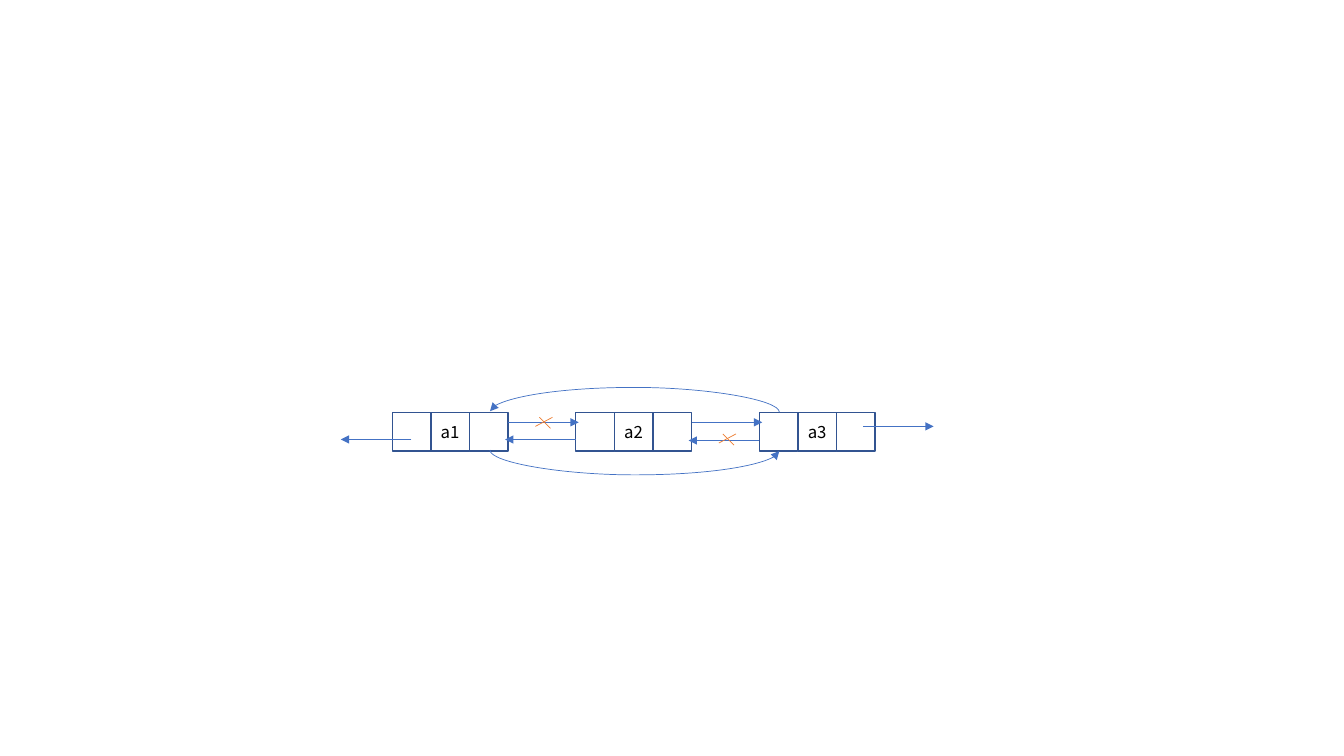
from lxml import etree
from pptx import Presentation
from pptx.dml.color import RGBColor
from pptx.enum.shapes import MSO_CONNECTOR as Connector, MSO_SHAPE as Shape
from pptx.enum.text import MSO_ANCHOR as Anchor, PP_ALIGN as Align
from pptx.oxml.ns import qn
from pptx.util import Inches, Pt

COLORS = {"arrow": "4472C4", "cell": "325491", "cross": "ED7D31", "text": "000000"}
FONT = "Noto Sans CJK SC"

NODES = ["a1", "a2", "a3"]
NODE_LEFT, NODE_TOP, NODE_PITCH = 3.89, 4.09, 1.82
CELL = 0.383
ARROW_LENGTH = 0.7

# Start of each straight arrow and its direction (1 right, -1 left)
ARROWS = [
    (5.04, 4.19, 1), (6.86, 4.19, 1),
    (5.71, 4.36, -1), (7.53, 4.37, -1),
    (4.08, 4.36, -1), (8.56, 4.23, 1),
]
CROSSES = [(5.31, 4.14), (7.13, 4.305)]
CROSS_STROKES = [(0.04, 0, 0.15, 0.11), (0.17, 0, 0, 0.09)]
# Start x, end x and y of each arc
ARCS = [(4.86, 7.73, 4.47), (7.73, 4.86, 4.085)]
ARC_DEPTH, ARC_THICKNESS = 0.25, 0.01


def add_line(shapes, start, end, color, kind=Connector.STRAIGHT, arrow=True):
    line = shapes.add_connector(kind, *map(Inches, start + end))
    line.line.color.rgb = RGBColor.from_string(COLORS[color])
    line.line.width = Pt(0.5)
    if arrow:
        etree.SubElement(line.line._get_or_add_ln(), qn("a:tailEnd"), type="triangle")
    etree.SubElement(line._element.spPr, qn("a:effectLst"))
    return line


def add_arc(shapes, start_x, end_x, y):
    """Lay a curved connector on its side, so that it bows down or up."""
    middle, half = (start_x + end_x) / 2, (end_x - start_x) / 2
    offset = ARC_THICKNESS / 2 if half > 0 else -ARC_THICKNESS / 2
    arc = add_line(shapes, (middle + offset, y - half), (middle - offset, y + half),
                   "arrow", Connector.CURVE)
    properties = arc._element.spPr
    properties.find(qn("a:xfrm")).set("rot", str(270 * 60000))
    adjustments = properties.find(qn("a:prstGeom")).get_or_add_avLst()
    depth = round(ARC_DEPTH / ARC_THICKNESS * 100000)
    etree.SubElement(adjustments, qn("a:gd"), name="adj1", fmla=f"val {depth}")


def add_node(slide, left, label):
    group = slide.shapes.add_group_shape()
    for column, text in enumerate(["", label, ""]):
        cell = group.shapes.add_shape(
            Shape.RECTANGLE, Inches(left + column * CELL), Inches(NODE_TOP),
            Inches(CELL), Inches(CELL))
        cell.shadow.inherit = False
        cell.fill.background()
        cell.line.color.rgb = RGBColor.from_string(COLORS["cell"])
        cell.line.width = Pt(1)
        if text:
            frame = cell.text_frame
            frame.margin_left = frame.margin_right = 0
            frame.vertical_anchor = Anchor.MIDDLE
            paragraph = frame.paragraphs[0]
            paragraph.alignment = Align.CENTER
            run = paragraph.add_run()
            run.text = text
            run.font.name = FONT
            run.font.size = Pt(12)
            run.font.color.rgb = RGBColor.from_string(COLORS["text"])


def main():
    presentation = Presentation()
    presentation.slide_width = Inches(13.33)
    presentation.slide_height = Inches(7.5)
    slide = presentation.slides.add_slide(presentation.slide_layouts[6])

    for index, label in enumerate(NODES):
        add_node(slide, NODE_LEFT + index * NODE_PITCH, label)
    for x, y, direction in ARROWS:
        add_line(slide.shapes, (x, y), (x + direction * ARROW_LENGTH, y), "arrow")
    for left, top in CROSSES:
        group = slide.shapes.add_group_shape()
        for x1, y1, x2, y2 in CROSS_STROKES:
            add_line(group.shapes, (left + x1, top + y1), (left + x2, top + y2),
                     "cross", arrow=False)
    for arc in ARCS:
        add_arc(slide.shapes, *arc)

    presentation.save("out.pptx")


if __name__ == "__main__":
    main()
